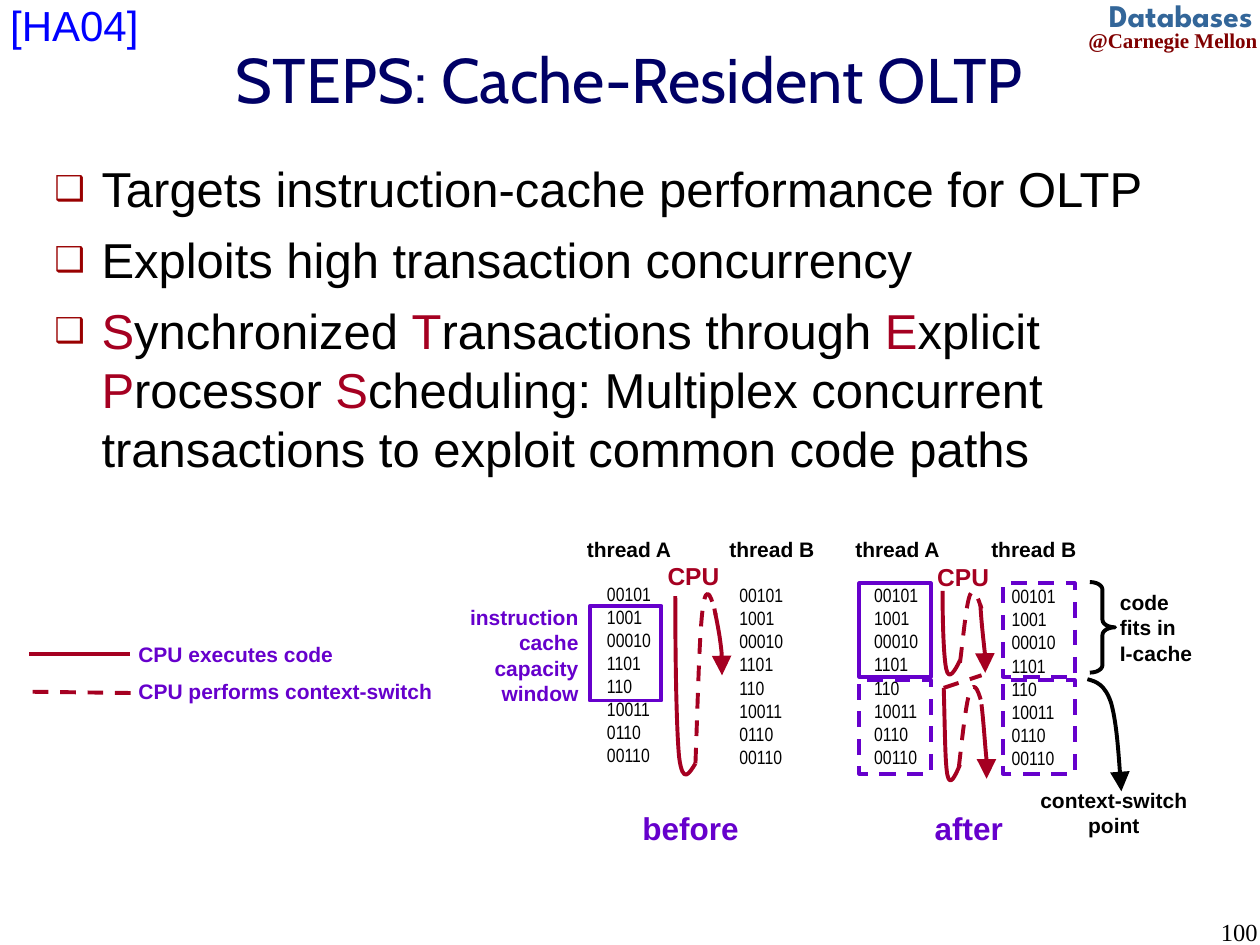
from lxml.etree import SubElement
from pptx import Presentation
from pptx.dml.color import RGBColor
from pptx.enum.dml import MSO_LINE
from pptx.enum.shapes import MSO_CONNECTOR, MSO_SHAPE
from pptx.enum.text import MSO_ANCHOR, MSO_AUTO_SIZE, PP_ALIGN
from pptx.oxml.ns import qn
from pptx.util import Pt

COLORS = {
    "title": "000066", "text": "000000", "bullet": "990000", "cpu": "A50021",
    "cache": "6600CC", "reference": "0000FF", "group": "336699", "school": "800000",
}
ALIGN = {"left": PP_ALIGN.LEFT, "center": PP_ALIGN.CENTER, "right": PP_ALIGN.RIGHT}


def color(name):
    return RGBColor.from_string(COLORS[name])


def write_text(frame, text, size=12, font="Arial", fill="text", bold=False,
               align="left", bullet=None, space=0):
    """Fill a text frame; parts between asterisks take the CPU colour."""
    for index, line in enumerate(text.split("\n")):
        paragraph = frame.paragraphs[0] if index == 0 else frame.add_paragraph()
        if bullet:
            properties = paragraph._p.get_or_add_pPr()
            properties.set("marL", str(Pt(27)))
            properties.set("indent", str(Pt(-27)))
            bullet_color = SubElement(properties, qn("a:buClr"))
            SubElement(bullet_color, qn("a:srgbClr"), val=COLORS["bullet"])
            SubElement(properties, qn("a:buSzPct"), val="70000")
            SubElement(properties, qn("a:buChar"), char=bullet)
        paragraph.alignment = ALIGN[align]
        paragraph.space_before = Pt(space if index else 0)
        for part, words in enumerate(line.split("*")):
            if words:
                run = paragraph.add_run()
                run.text = words
                run.font.size = Pt(size)
                run.font.name = font
                run.font.bold = bold
                run.font.color.rgb = color("cpu" if part % 2 else fill)


class SlideBuilder:
    line_width = 2.25
    slack = 12  # extra label width, so that no line breaks
    slack_before = {"left": 0, "center": 0.5, "right": 1}

    def __init__(self, slide):
        self.slide = slide
        self.shapes = slide.shapes

    def style_line(self, shape, line_color, dashed=False, arrow=False):
        shape.line.color.rgb = color(line_color)
        shape.line.width = Pt(self.line_width)
        if dashed:
            shape.line.dash_style = MSO_LINE.DASH
        if arrow:
            SubElement(shape.line._get_or_add_ln(), qn("a:tailEnd"),
                       type="triangle", w="lg", len="lg")

    def placeholder(self, index, left, top, width, height, text, anchor, **style):
        shape = self.slide.placeholders[index]
        shape.left, shape.top, shape.width, shape.height = map(Pt, (left, top, width, height))
        frame = shape.text_frame
        frame.auto_size = MSO_AUTO_SIZE.NONE
        frame.vertical_anchor = anchor
        write_text(frame, text, **style)

    def label(self, left, top, width, height, text, margins=True, align="left", **style):
        left -= self.slack * self.slack_before[align]
        width += self.slack
        frame = self.shapes.add_textbox(*map(Pt, (left, top, width, height))).text_frame
        frame.word_wrap = True
        frame.auto_size = MSO_AUTO_SIZE.NONE
        if not margins:
            frame.margin_left = frame.margin_right = frame.margin_top = frame.margin_bottom = 0
        write_text(frame, text, align=align, **style)

    def outline(self, preset, left, top, width, height, line_color, dashed=False):
        shape = self.shapes.add_shape(preset, *map(Pt, (left, top, width, height)))
        shape.shadow.inherit = False
        shape.fill.background()
        self.style_line(shape, line_color, dashed)
        return shape

    def line(self, start, end, dashed=False):
        connector = self.shapes.add_connector(
            MSO_CONNECTOR.STRAIGHT, *map(Pt, (*start, *end)))
        self.style_line(connector, "cpu", dashed)
        SubElement(connector._element.spPr, qn("a:effectLst"))

    def curve(self, points, line_color="cpu", dashed=False, arrow=False):
        """Draw cubic curves: a start, then two handles and an end for each."""
        start, *others = [(Pt(x), Pt(y)) for x, y in points]
        builder = self.shapes.build_freeform(*start)
        builder.add_line_segments(others, close=False)
        shape = builder.convert_to_shape()
        # Turn each three straight segments into one cubic curve
        outline = shape._element.spPr.find(".//" + qn("a:path"))
        segments = outline.findall(qn("a:lnTo"))
        for first in range(0, len(segments), 3):
            cubic = SubElement(outline, qn("a:cubicBezTo"))
            for segment in segments[first:first + 3]:
                cubic.append(segment[0])
                outline.remove(segment)
        shape.shadow.inherit = False
        shape.fill.background()
        self.style_line(shape, line_color, dashed, arrow)

    def cpu_loop(self, run_down, switch, run_on):
        self.curve(run_down)
        self.curve(switch, dashed=True)
        self.curve(run_on, arrow=True)


def main():
    presentation = Presentation()
    presentation.slide_width, presentation.slide_height = Pt(720), Pt(540)
    builder = SlideBuilder(presentation.slides.add_slide(presentation.slide_layouts[1]))

    # Header, title and list
    builder.label(614.9, 12.2, 110.9, 21.6, "@Carnegie Mellon", font="Times New Roman",
                  fill="school", bold=True, align="right")
    builder.label(614.9, -5.8, 108, 28.8, "Databases", size=18, font="League Spartan",
                  fill="group", bold=True, align="right")
    builder.placeholder(0, 5.8, 18, 707.8, 54, "STEPS: Cache-Resident OLTP",
                        MSO_ANCHOR.MIDDLE, size=36, font="Cabin", fill="title", align="center")
    builder.placeholder(
        1, 23.8, 87.1, 660.2, 195.1,
        "Targets instruction-cache performance for OLTP\n"
        "Exploits high transaction concurrency\n"
        "*S*ynchronized *T*ransactions through *E*xplicit *P*rocessor *S*cheduling: "
        "Multiplex concurrent transactions to exploit common code paths",
        MSO_ANCHOR.TOP, size=28, bullet="❑", space=7)
    builder.label(5.8, 0, 73.4, 28.8, "[HA04]", margins=False, size=24, fill="reference")

    # CPU loops: after (upper, lower), then before
    builder.cpu_loop(
        [(538.6, 337.7), (538.6, 357.1), (539.3, 375.8), (540.7, 382.3),
         (542.2, 389.5), (545.8, 383), (548.6, 377.3)],
        [(548.6, 378.7), (550.8, 361.4), (552.2, 344.9), (554.4, 339.8),
         (556.6, 334.8), (558.7, 341.3), (560.9, 347.8)],
        [(560.2, 345.6), (560.9, 357.1), (562.3, 368.6), (563, 375.1),
         (563.8, 381.6), (563, 383), (563, 384.5)])
    builder.cpu_loop(
        [(539.3, 393.1), (540, 414), (540, 435.6), (541.4, 442.8),
         (542.9, 450), (545.8, 443.5), (548.6, 437)],
        [(547.9, 438.5), (550.1, 419), (552.2, 400.3), (554.4, 394.6),
         (557.3, 388.8), (559.4, 396), (561.6, 403.9)],
        [(560.9, 402.5), (562.3, 414.7), (563, 427), (563.8, 434.2),
         (563.8, 441.4), (563.8, 442.8), (563.8, 445)])
    builder.line((539.3, 393.1), (560.9, 385.9), dashed=True)
    builder.cpu_loop(
        [(385.9, 340.6), (385.9, 378.7), (386.6, 416.9), (388.1, 432.7),
         (390.2, 448.6), (393.8, 442.1), (397.4, 436.3)],
        [(397.4, 436.3), (398.9, 398.2), (399.6, 360.7), (401.8, 346.3),
         (403.9, 332.6), (406.8, 342), (409, 351.4)],
        [(408.2, 347.8), (409.7, 355), (411.1, 362.2), (411.8, 367.9),
         (412.6, 374.4), (412.6, 380.2), (412.6, 385.9)])
    for left, top in ((374.4, 316.8), (528.5, 317.5)):
        builder.label(left, top, 43.9, 24.5, "CPU", size=14, fill="cpu", bold=True)

    # Threads and their code
    code = "\n".join("00101 1001 00010 1101 110 10011 0110 00110".split())
    for name, name_left, code_left, code_top in (
            ("A", 328.3, 339.8, 329), ("B", 409.7, 415.4, 329.8),
            ("A", 481.7, 492.5, 329.8), ("B", 559.4, 571, 330.5)):
        builder.label(name_left, 303.1, 62.6, 21.6, f"thread {name}", bold=True)
        builder.label(code_left, code_top, 39.6, 113, code, size=11, font="Arial Narrow")

    # Cache windows: solid where the code is loaded
    builder.outline(MSO_SHAPE.RECTANGLE, 337, 346.3, 41, 54, "cache")
    for left in (491, 573.1):
        for top in (333.4, 388.8):
            builder.outline(MSO_SHAPE.RECTANGLE, left, top, 41, 53.3, "cache",
                            dashed=(left, top) != (491, 333.4))
    builder.label(261.4, 342, 76.3, 64.8, "instruction\ncache\ncapacity\nwindow",
                  fill="cache", bold=True, align="right")

    # Notes on the right
    brace = builder.outline(MSO_SHAPE.RIGHT_BRACE, 622.8, 332.6, 14.4, 51.8, "text")
    brace.adjustments[0] = 0.3
    builder.label(632.9, 333.4, 55.4, 50.4, "code\nfits in\nI-cache", bold=True)
    builder.curve([(621.4, 388.1), (626.4, 389.5), (631.4, 391), (635, 401.8),
                   (637.9, 412.6), (639.4, 432), (640.8, 452.2)], "text", arrow=True)
    builder.label(587.5, 446.4, 97.9, 36, "context-switch\npoint", bold=True, align="center")

    # Legend and captions
    builder.line((16.6, 373.7), (74.2, 373.7))
    builder.line((18.7, 395.3), (74.9, 396), dashed=True)
    builder.label(72, 362.9, 125.3, 21.6, "CPU executes code", fill="cache", bold=True)
    builder.label(72, 384.5, 182.2, 21.6, "CPU performs context-switch", fill="cache", bold=True)
    builder.label(360, 458.6, 69.1, 28.8, "before", size=18, fill="cache", bold=True)
    builder.label(527, 458.6, 53.3, 28.8, "after", size=18, fill="cache", bold=True)

    # Page number
    builder.label(558, 520.6, 167.8, 37.4, "100", size=14,
                  font="Times New Roman", align="right")

    presentation.save("out.pptx")


if __name__ == "__main__":
    main()
